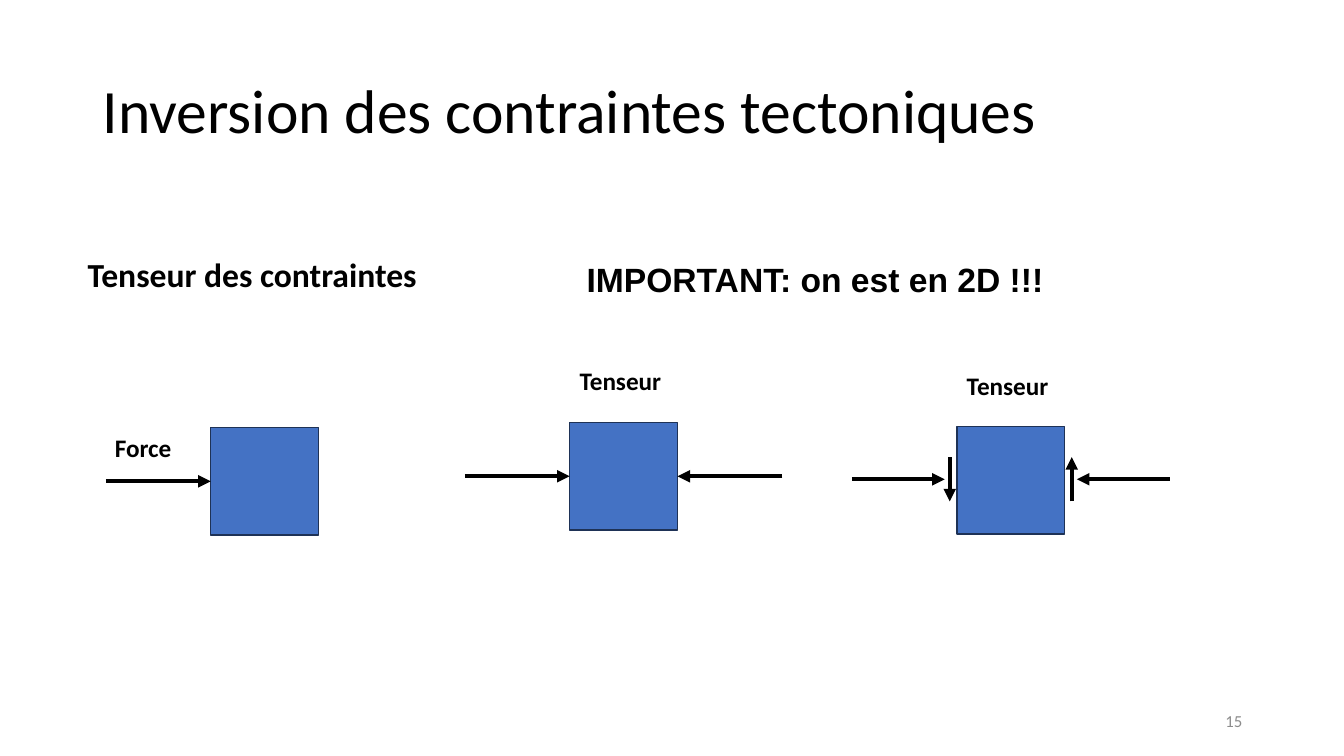
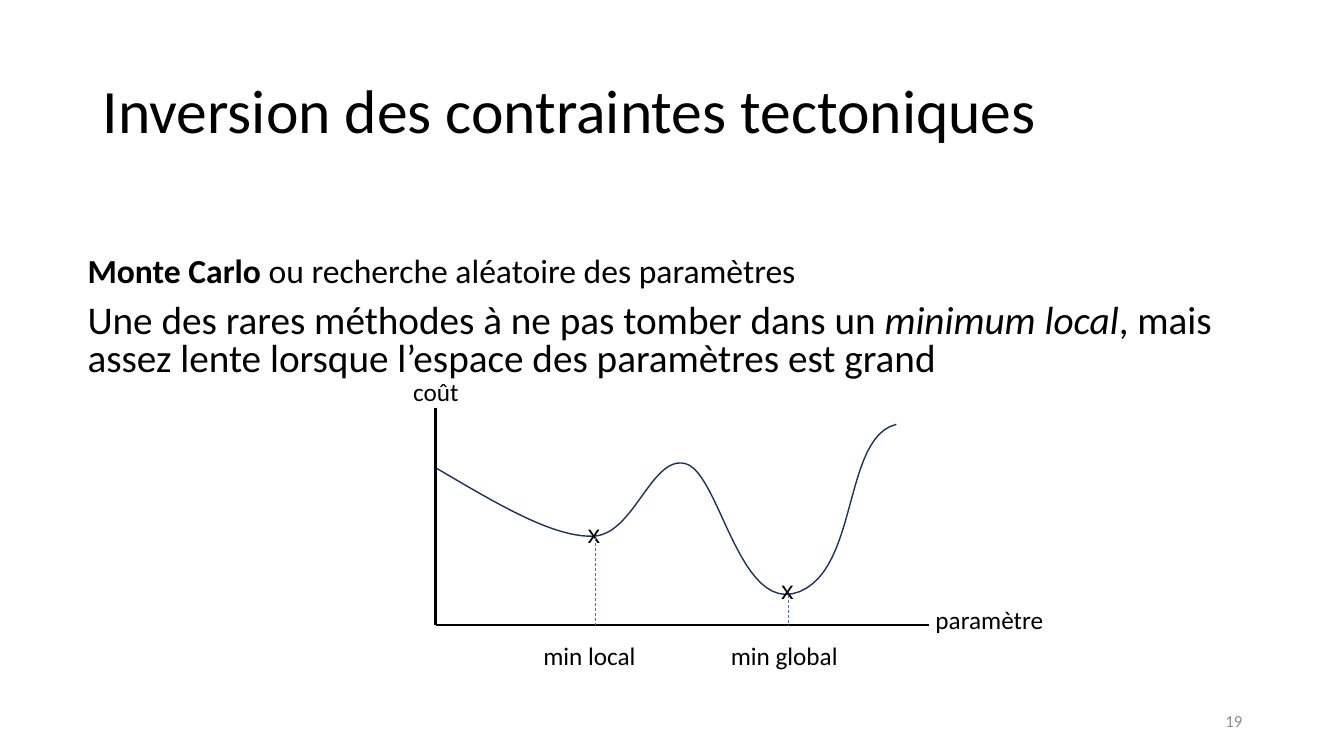
from lxml import etree
from pptx import Presentation
from pptx.dml.color import RGBColor
from pptx.enum import dml, shapes, text
from pptx.oxml.ns import qn
from pptx.util import Inches, Pt

COL = {"ink": "000000", "fill": "4472C4", "edge": "1E3256", "grey": "8C8C8C"}
FONT = "Calibri"
TITLE = "Inversion des contraintes tectoniques"
SIDE = 1.07
REACH = 1.04


def rgb(name):
    return RGBColor.from_string(COL[name])


def write(slide, box, paras, size=18, bold=None, font=FONT, color="ink",
          wrap=False, anchor="TOP", align="LEFT", lead=None, gap=0):
    """Each paragraph is a list of (text, style); style is "", "b" or "i".

    size is one number, or a list with one per paragraph.
    """
    frame = slide.shapes.add_textbox(*map(Inches, box)).text_frame
    frame.word_wrap = wrap
    frame.vertical_anchor = getattr(text.MSO_ANCHOR, anchor)
    sizes = size if isinstance(size, list) else [size] * len(paras)
    for i, (runs, pts) in enumerate(zip(paras, sizes)):
        para = frame.add_paragraph() if i else frame.paragraphs[0]
        para.alignment = getattr(text.PP_ALIGN, align)
        if lead:
            para.line_spacing = lead
        if i:
            para.space_before = Pt(gap)
        para.font.size, para.font.bold = Pt(pts), bold
        para.font.name = font
        para.font.color.rgb = rgb(color)
        for words, style in runs:
            run = para.add_run()
            run.text = words
            run.font.name, run.font.size = font, Pt(pts)
            run.font.color.rgb = rgb(color)
            run.font.bold = True if "b" in style else bold
            run.font.italic = True if "i" in style else None


def label(slide, x, y, w, words, **style):
    write(slide, (x, y, w, 0.4), [[(words, "")]], **style)


def line(slide, start, end, width, color="ink", arrow=False, dash=False):
    link = slide.shapes.add_connector(
        shapes.MSO_CONNECTOR.STRAIGHT, *map(Inches, (*start, *end)))
    link.line.width = Pt(width)
    link.line.color.rgb = rgb(color)
    if dash:
        link.line.dash_style = dml.MSO_LINE.DASH
    if arrow:
        tip = etree.SubElement(link.line._get_or_add_ln(), qn("a:tailEnd"))
        tip.set("type", "triangle")
    etree.SubElement(link._element.spPr, qn("a:effectLst"))
    return link


def square(slide, x, y):
    box = slide.shapes.add_shape(
        shapes.MSO_SHAPE.RECTANGLE, *map(Inches, (x, y, SIDE, SIDE)))
    box.shadow.inherit = False
    box.fill.solid()
    box.fill.fore_color.rgb = rgb("fill")
    box.line.color.rgb = rgb("edge")
    box.line.width = Pt(1)
    return box


def push(slide, box, x, y, left=True):
    """Arrow that presses on one side of the square."""
    side, out = (x, -REACH) if left else (x + SIDE, REACH)
    mid = y + SIDE / 2
    link = line(slide, (side + out, mid), (side, mid), 3, arrow=True)
    link.end_connect(box, 1 if left else 3)


def force(slide, x, y):
    push(slide, square(slide, x, y), x, y)
    label(slide, x - 1.05, y, 0.77, "Force", bold=True)


def tensor(slide, x, y, shear=False):
    box = square(slide, x, y)
    label(slide, x, y - 0.61, SIDE, "Tenseur", bold=True)
    if not shear:
        push(slide, box, x, y)
        push(slide, box, x, y, left=False)
        return
    mid = y + SIDE / 2 - 0.01
    for side, sign in ((x, -1), (x + SIDE, 1)):
        line(slide, (side + sign * REACH, mid), (side + sign * 0.12, mid),
             3, arrow=True)
        slip = side + sign * 0.07
        line(slide, (slip, mid + sign * 0.22), (slip, mid - sign * 0.22),
             3, arrow=True)


def bezier(knots, steps=24):
    """Points along joined cubic curves; every third knot is on the curve."""
    for k in range(0, len(knots) - 1, 3):
        for n in range(1, steps + 1):
            t = n / steps
            s = 1 - t
            mix = (s ** 3, 3 * s * s * t, 3 * s * t * t, t ** 3)
            yield tuple(sum(m * p[axis] for m, p in zip(mix, knots[k:k + 4]))
                        for axis in (0, 1))


def cost_plot(slide, x, y):
    """Cost curve; x, y is the top of the vertical axis."""
    wide, high = 4.89, 2.15
    base = y + high
    knots = [(0, 0.59), (0.58, 0.93), (1.15, 1.28), (1.56, 1.27),
             (1.97, 1.26), (2.14, 0.46), (2.48, 0.55),
             (2.82, 0.64), (3.01, 2.06), (3.61, 1.82),
             (4.2, 1.58), (4.04, 0.29), (4.57, 0.16)]
    knots = [(x + a, y + b) for a, b in knots]
    pen = slide.shapes.build_freeform(*map(Inches, knots[0]))
    pen.add_line_segments(
        [(Inches(a), Inches(b)) for a, b in bezier(knots)], close=False)
    curve = pen.convert_to_shape()
    curve.shadow.inherit = False
    curve.fill.background()
    curve.line.color.rgb = rgb("edge")
    curve.line.width = Pt(1)

    line(slide, (x, y), (x, base), 2)
    line(slide, (x + wide, base), (x, base), 2)
    for words, dx, dy, left, w in (("min local", 1.58, 1.29, 0.97, 1.23),
                                   ("min global", 3.5, 1.85, 2.83, 1.34)):
        label(slide, x + dx - 0.17, y + dy - 0.25, 0.33, "x", font="Arial")
        line(slide, (x + dx, y + dy), (x + dx, base), 0.5, "fill", dash=True)
        label(slide, x + left, base + 0.1, w, words)
    label(slide, x + wide - 0.03, base - 0.25, 1.28, "paramètre")
    label(slide, x - 0.32, y - 0.37, 0.67, "coût")


def page(deck, number):
    slide = deck.slides.add_slide(deck.slide_layouts[6])
    write(slide, (0.92, 0.4, 11.5, 1.45), [[(TITLE, "")]], size=44,
          wrap=True, anchor="MIDDLE", lead=0.9)
    write(slide, (9.42, 6.95, 3, 0.4), [[(str(number), "")]], size=12,
          color="grey", wrap=True, anchor="MIDDLE", align="RIGHT")
    return slide


def stress(deck):
    slide = page(deck, 15)
    write(slide, (0.77, 2.51, 10.85, 1.08),
          [[("Tenseur des contraintes", "")]], size=24, bold=True,
          wrap=True, lead=0.9)
    force(slide, 2.09, 4.24)
    tensor(slide, 5.65, 4.19)
    tensor(slide, 9.49, 4.23, shear=True)
    write(slide, (5.72, 2.52, 4.77, 0.5),
          [[("IMPORTANT: on est en 2D !!!", "")]], size=24, bold=True,
          font="Arial")


def search(deck):
    slide = page(deck, 19)
    write(slide, (0.77, 2.51, 12.17, 1.35), [
        [("Monte Carlo ", "b"),
         ("ou recherche aléatoire des paramètres", "")],
        [("Une des rares méthodes à ne pas tomber dans un ", ""),
         ("minimum local", "i"),
         (", mais assez lente lorsque l’espace des paramètres est grand", "")],
    ], size=[24, 28], wrap=True, lead=0.8, gap=10)
    cost_plot(slide, 4.32, 4.05)


def main():
    deck = Presentation()
    deck.slide_width, deck.slide_height = Inches(13.33), Inches(7.5)
    stress(deck)
    search(deck)
    deck.save("out.pptx")


if __name__ == "__main__":
    main()
